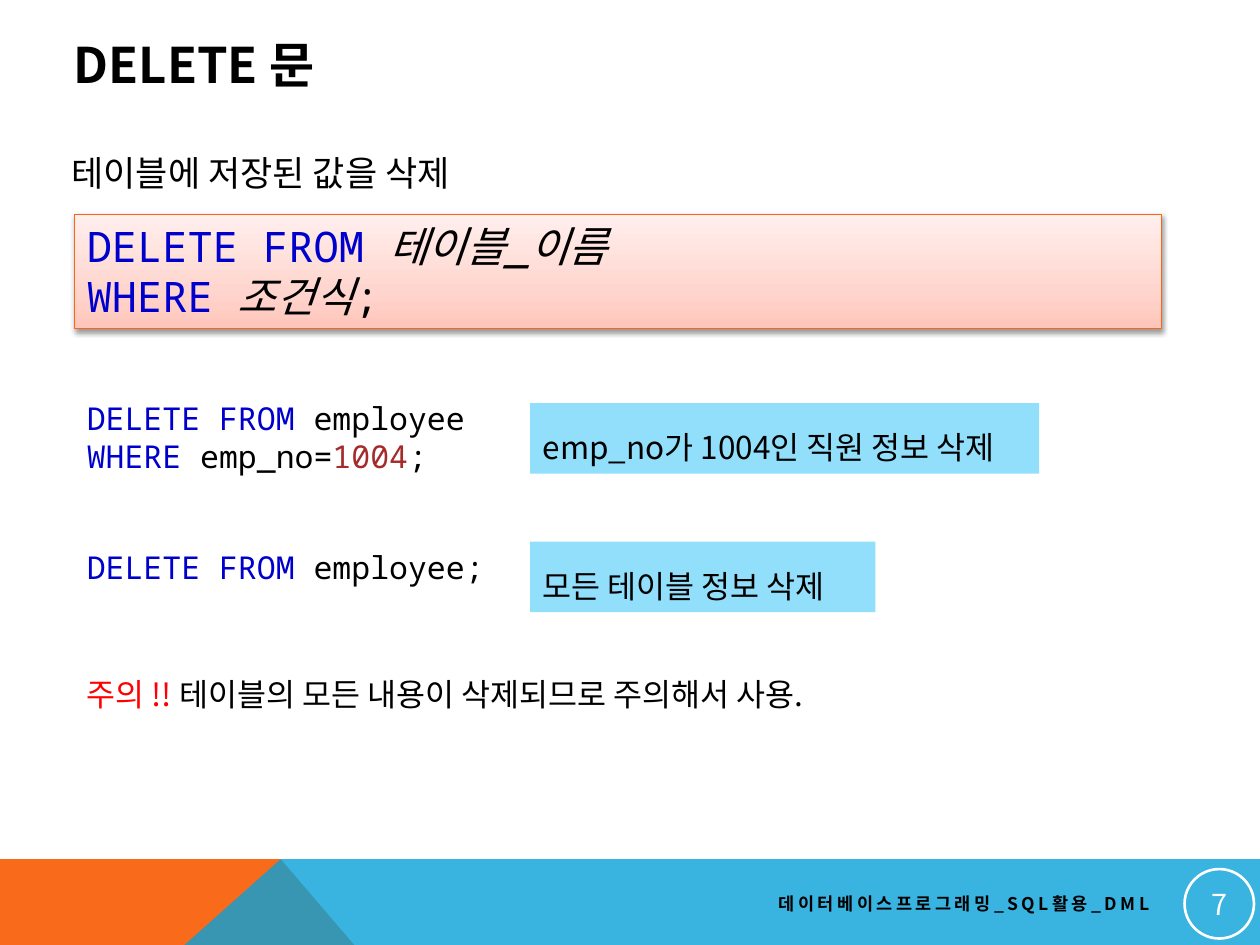
import pptx
import pptx.dml.color
import pptx.enum.shapes
import pptx.enum.text
import pptx.oxml
import pptx.oxml.ns
import pptx.util
from lxml import etree

Cm = pptx.util.Cm
Pt = pptx.util.Pt
ALIGN = pptx.enum.text.PP_ALIGN
ANCHOR = pptx.enum.text.MSO_ANCHOR
AUTO = pptx.enum.text.MSO_AUTO_SIZE
SHAPE = pptx.enum.shapes.MSO_SHAPE
qn = pptx.oxml.ns.qn

SANS, MONO = "Noto Sans CJK KR", "Noto Sans Mono"
BLACK, WHITE, RED = "000000", "FFFFFF", "FF0000"
KEYWORD, NUMBER = "0000CD", "A52A2A"
ORANGE, BLUE, PALE_BLUE = "F96A1B", "08A1D9", "91DFFB"
NS = 'xmlns:a="http://schemas.openxmlformats.org/drawingml/2006/main"'


def rgb(value):
    """Turn a hex string into a colour."""
    return pptx.dml.color.RGBColor.from_string(value)


def paint(sp, fill=None, line=None, width=1.0):
    """Set fill and line of a shape, without a shadow."""
    sp.shadow.inherit = False
    if fill:
        sp.fill.solid()
        sp.fill.fore_color.rgb = rgb(fill)
    else:
        sp.fill.background()
    if line:
        sp.line.color.rgb = rgb(line)
        sp.line.width = Pt(width)
    else:
        sp.line.fill.background()


def write(sp, runs, size, font=SANS, align=ALIGN.LEFT, anchor=ANCHOR.TOP,
          wrap=True, grow=True, bold=False, spacing=None, tracking=None):
    """Write (text, colour, italic) runs; None stands for a line break."""
    tf = sp.text_frame
    tf.word_wrap = wrap
    tf.auto_size = AUTO.SHAPE_TO_FIT_TEXT if grow else AUTO.NONE
    tf.vertical_anchor = anchor
    p = tf.paragraphs[0]
    p.alignment = align
    if spacing:
        p.line_spacing = spacing
    for run in runs:
        if run is None:
            p.add_line_break()
            continue
        text, color, italic = (*run, False)[:3]
        r = p.add_run()
        r.text = text
        r.font.size = Pt(size)
        r.font.name = font
        r.font.bold = bold
        r.font.italic = italic
        r.font.color.rgb = rgb(color)
        rpr = r.font._element
        etree.SubElement(rpr, qn("a:ea")).set("typeface", font)
        if tracking:
            rpr.set("spc", str(tracking * 100))


def add_text(slide, box, runs, size, **style):
    """Add a text box at box (left, top, width, height in cm)."""
    sp = slide.shapes.add_textbox(*map(Cm, box))
    write(sp, runs, size, **style)


def add_band(slide, left, top, width, height):
    """Draw the bottom band: orange wedge under a translucent blue one."""
    peak, blue_foot, orange_foot = 5.66, 3.72, 7.14
    wedges = (
        (ORANGE, [(0, 0), (peak, 0), (orange_foot, height), (0, height)]),
        (BLUE, [(blue_foot, height), (peak, 0), (width, 0), (width, height)]),
    )
    for color, points in wedges:
        pts = [(Cm(left + x), Cm(top + y)) for x, y in points]
        fb = slide.shapes.build_freeform(*pts[0])
        fb.add_line_segments(pts[1:], close=True)
        sp = fb.convert_to_shape()
        paint(sp, color)
    clr = sp._element.spPr.find(qn("a:solidFill"))[0]
    etree.SubElement(clr, qn("a:alpha")).set("val", "80000")


def add_footer(slide, left, top, width, height):
    """Place the band, the course name and the page number."""
    add_band(slide, left, top, width, height)
    sp = slide.shapes.add_shape(SHAPE.OVAL, Cm(left + width - 1.52),
                                Cm(top + 0.2), Cm(1.4), Cm(1.4))
    paint(sp, line=WHITE, width=1.5)
    tf = sp.text_frame
    tf.margin_left = tf.margin_right = Cm(0.03)
    tf.margin_top = tf.margin_bottom = Cm(0.03)
    write(sp, [("7", WHITE)], 16.5, align=ALIGN.CENTER,
          anchor=ANCHOR.MIDDLE, grow=False)
    add_text(slide, (left + 9.09, top + 0.51, 14.33, 0.76),
             [("데이터베이스프로그래밍_SQL활용_DML", BLACK)], 10,
             align=ALIGN.RIGHT, anchor=ANCHOR.MIDDLE, grow=False,
             bold=True, tracking=2)


def add_syntax(slide, box, runs):
    """Add the shaded syntax panel with its gradient and shadow."""
    sp = slide.shapes.add_shape(SHAPE.RECTANGLE, *map(Cm, box))
    paint(sp, line="F96615", width=0.75)
    stops = "".join(
        f'<a:gs pos="{pos * 1000}"><a:srgbClr val="{color}"/></a:gs>'
        for pos, color in ((0, "FFC5BA"), (35, "FFD6CF"), (100, "FFEFED")))
    sppr = sp._element.spPr
    sppr.replace(sppr.find(qn("a:noFill")), pptx.oxml.parse_xml(
        f'<a:gradFill {NS} rotWithShape="1"><a:gsLst>{stops}</a:gsLst>'
        '<a:lin ang="16200000" scaled="0"/></a:gradFill>'))
    sppr.find(qn("a:effectLst")).append(pptx.oxml.parse_xml(
        f'<a:outerShdw {NS} blurRad="{Pt(3.1)}" dist="{Pt(1.6)}" '
        'dir="5400000" rotWithShape="0"><a:srgbClr val="000000">'
        '<a:alpha val="38000"/></a:srgbClr></a:outerShdw>'))
    write(sp, runs, 24, font=MONO)


def add_example(slide, left, top, code, note, note_drop, note_width):
    """Add a code sample with its pale blue explanation to the right."""
    height = 1.8 if None in code else 1.02
    add_text(slide, (left, top, 12.7, height), code, 18, font=MONO)
    sp = slide.shapes.add_shape(SHAPE.RECTANGLE, Cm(left + 9.19),
                                Cm(top + note_drop), Cm(note_width), Cm(1.42))
    paint(sp, PALE_BLUE)
    write(sp, [(note, BLACK)], 18, wrap=False, spacing=1.5)


def build_slide(prs):
    """Build the DELETE statement slide."""
    slide = prs.slides.add_slide(prs.slide_layouts[6])
    delete = ("DELETE\u00a0FROM\u00a0", KEYWORD)
    where = ("WHERE\u00a0", KEYWORD)
    left = 1.5
    add_footer(slide, 0, 17.32, 25.4, 1.73)
    add_text(slide, (1.24, 0.53, 20.88, 1.52), [("DELETE 문", BLACK)], 28,
             anchor=ANCHOR.MIDDLE, grow=False, bold=True)
    add_text(slide, (1.19, 2.92, 9.09, 1.12),
             [("테이블에 저장된 값을 삭제", BLACK)], 20, wrap=False)
    add_syntax(slide, (left, 4.32, 21.92, 2.31),
               [delete, ("테이블_이름", BLACK, True), None,
                where, ("조건식", BLACK, True), (";", BLACK)])
    add_example(slide, left, 7.92,
                [delete, ("employee", BLACK), None, where,
                 ("emp_no=", BLACK), ("1004", NUMBER), (";", BLACK)],
                "emp_no가 1004인 직원 정보 삭제", 0.21, 10.26)
    add_example(slide, left, 10.92, [delete, ("employee;", BLACK)],
                "모든 테이블 정보 삭제", 0, 6.96)
    add_text(slide, (left, 13.49, 16.71, 1.02),
             [("주의 !! ", RED),
              ("테이블의 모든 내용이 삭제되므로 주의해서 사용.", BLACK)],
             18, wrap=False)


prs = pptx.Presentation()
prs.slide_width, prs.slide_height = Cm(25.4), Cm(19.05)
build_slide(prs)
prs.save("out.pptx")
